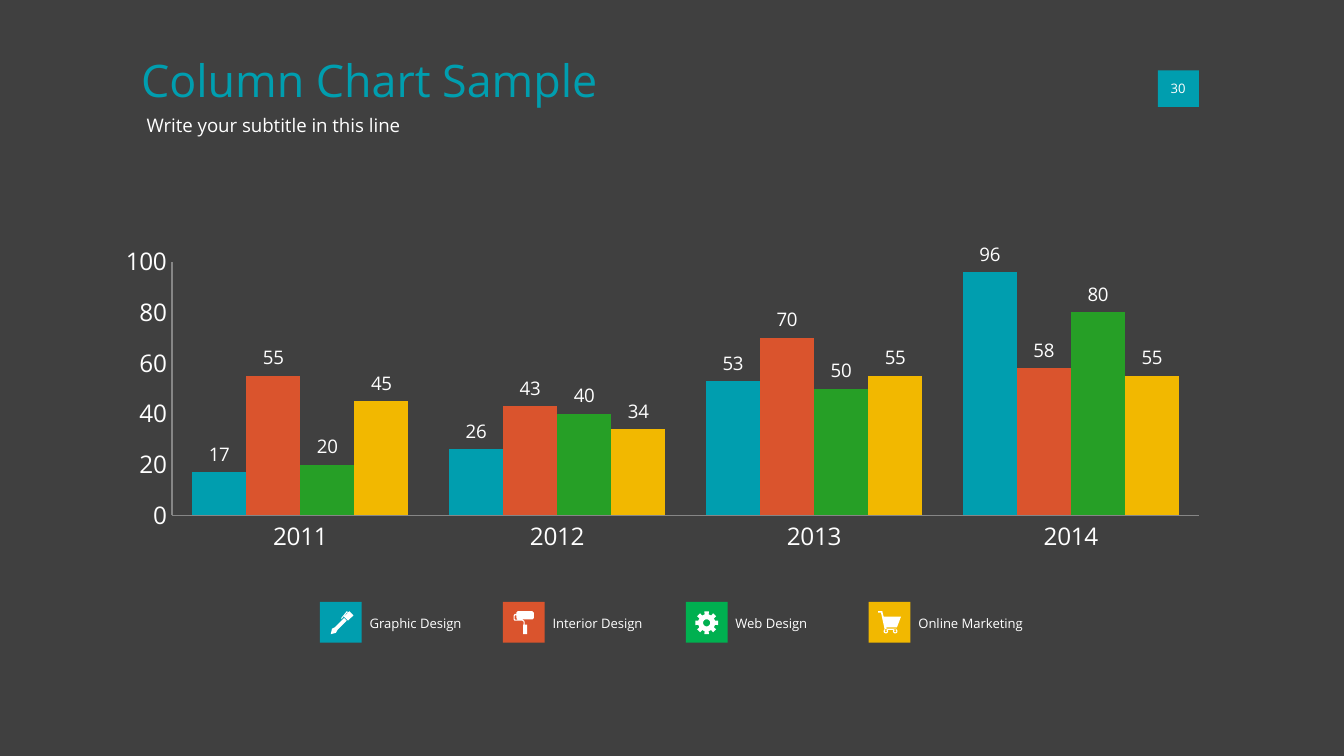
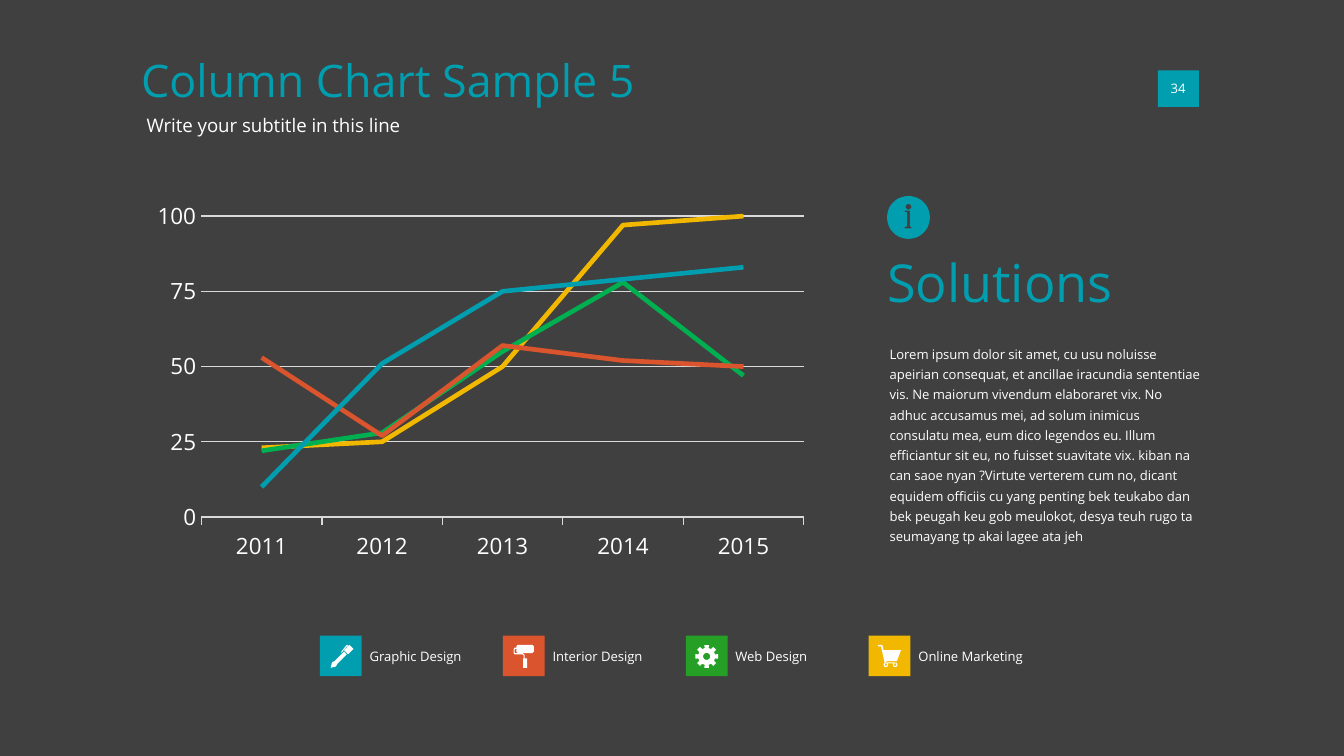
import math
import lxml.etree
import pptx
import pptx.chart.data
import pptx.dml.color
import pptx.enum.chart
import pptx.enum.shapes
import pptx.enum.text
import pptx.oxml.ns
import pptx.util

Pt = pptx.util.Pt
qn = pptx.oxml.ns.qn
RGB = pptx.dml.color.RGBColor.from_string

FONT = "Open Sans"
COLORS = {
    "background": "404040",
    "teal": "009EAF",
    "orange": "DA542D",
    "green": "269F26",
    "bright green": "00B050",
    "yellow": "F2B800",
    "white": "FFFFFF",
    "axis": "868686",
    "grid": "D9D9D9",
}

BODY = (
    "Lorem ipsum dolor sit amet, cu usu noluisse apeirian consequat, et ancillae iracundia "
    "sententiae vis. Ne maiorum vivendum elaboraret vix. No adhuc accusamus mei, ad solum "
    "inimicus consulatu mea, eum dico legendos eu. Illum efficiantur sit eu, no fuisset "
    "suavitate vix. kiban na can saoe nyan ?Virtute verterem cum no, dicant equidem officiis "
    "cu yang penting bek teukabo dan bek peugah keu gob meulokot, desya teuh rugo ta "
    "seumayang tp akai lagee ata jeh"
)

# Outline points are tenths of a point from the icon's top left corner.
ICONS = {
    "pen": [
        [(130, 79), (151, 101), (180, 72), (158, 50)],
        [(115, 94), (115, 86), (144, 50), (155, 56), (150, 58), (146, 56)],
        [(144, 101), (130, 86), (79, 137), (65, 144), (58, 173), (86, 166), (94, 151)],
    ],
    "roller": [
        [(79, 50), (158, 50), (166, 58), (166, 86), (158, 94), (79, 94), (72, 86), (72, 72),
         (65, 72), (63, 76), (63, 92), (67, 95), (104, 95), (114, 101), (117, 108), (117, 122),
         (130, 122), (130, 173), (108, 173), (108, 122), (111, 122), (111, 106), (104, 101),
         (63, 101), (57, 94), (57, 74), (63, 65), (72, 65), (72, 58)],
    ],
    "gear": [
        [(112 + radius * math.cos(math.radians(45 * tooth + offset)),
          112 + radius * math.sin(math.radians(45 * tooth + offset)))
         for tooth in range(8)
         for offset, radius in [(-14, 46), (-11, 62), (11, 62), (14, 46)]],
    ],
    "cart": [
        [(50, 50), (73, 50), (80, 79), (173, 79), (151, 137), (94, 137), (95, 144),
         (148, 144), (148, 150), (86, 150), (66, 58), (50, 58)],
    ],
    "info": [
        [(130, 173), (94, 173), (94, 166), (108, 162), (108, 88), (94, 84), (94, 78),
         (122, 78), (122, 162), (130, 166)],
    ],
}
CIRCLES = [
    ("gear", 112, 112, 19),
    ("cart", 92, 157, 12), ("cart", 92, 157, 6),
    ("cart", 142, 157, 12), ("cart", 142, 157, 6),
    ("info", 115, 115, 115), ("info", 115, 58, 15),
]
for icon, center_x, center_y, radius in CIRCLES:
    ICONS[icon].append([
        (center_x + radius * math.cos(math.radians(angle)),
         center_y + radius * math.sin(math.radians(angle)))
        for angle in range(0, 360, 6)
    ])

LEGEND = [("Graphic Design", "pen"), ("Interior Design", "roller"),
          ("Web Design", "gear"), ("Online Marketing", "cart")]

SLIDES = [
    {
        "title": "Column Chart Sample",
        "number": "30",
        "legend top": 322.5,
        "legend colors": ["teal", "orange", "bright green", "yellow"],
        "chart type": pptx.enum.chart.XL_CHART_TYPE.COLUMN_CLUSTERED,
        "chart box": (56.2, 128.2, 598.3, 172),
        "plot": {"x": 0.06, "y": 0.07, "w": 0.92, "h": 0.79},
        "axis size": 13,
        "step": 20,
        "years": ["2011", "2012", "2013", "2014"],
        "series": [("teal", [17, 26, 53, 96]), ("orange", [55, 43, 70, 58]),
                   ("green", [20, 40, 50, 80]), ("yellow", [45, 34, 55, 55])],
    },
    {
        "title": "Column Chart Sample 5",
        "number": "34",
        "legend top": 340.5,
        "legend colors": ["teal", "orange", "green", "yellow"],
        "chart type": pptx.enum.chart.XL_CHART_TYPE.LINE,
        "chart box": (75.6, 103.7, 358.6, 201.6),
        "plot": {"x": 0.09, "y": 0.06, "w": 0.9, "h": 0.8},
        "axis size": 12,
        "step": 25,
        "years": ["2011", "2012", "2013", "2014", "2015"],
        "series": [("yellow", [23, 25, 50, 97, 100]), ("bright green", [22, 28, 55, 78, 47]),
                   ("orange", [53, 27, 57, 52, 50]), ("teal", [10, 51, 75, 79, 83])],
    },
]


def add_text(slide, box, text, size, color="white"):
    frame = slide.shapes.add_textbox(*map(Pt, box)).text_frame
    frame.margin_left = frame.margin_top = frame.margin_right = frame.margin_bottom = 0
    frame.word_wrap = True
    frame.text = text
    font = frame.paragraphs[0].runs[0].font
    font.name = FONT
    font.size = Pt(size)
    font.color.rgb = RGB(COLORS[color])
    return frame


def paint(shape, color):
    shape.shadow.inherit = False
    shape.fill.solid()
    shape.fill.fore_color.rgb = RGB(COLORS[color])
    shape.line.fill.background()


presentation = pptx.Presentation()
presentation.slide_width = Pt(720)
presentation.slide_height = Pt(405)

for content in SLIDES:
    slide = presentation.slides.add_slide(presentation.slide_layouts[6])
    slide.background.fill.solid()
    slide.background.fill.fore_color.rgb = RGB(COLORS["background"])
    is_line = content["chart type"] == pptx.enum.chart.XL_CHART_TYPE.LINE

    add_text(slide, (75.6, 28.1, 342.7, 35.3), content["title"], 24, "teal")
    add_text(slide, (78.5, 61.2, 497.5, 16.6), "Write your subtitle in this line", 10)

    tiles = [(620.3, 37.8, 22, 19.5, "teal")]
    outlines = []
    for index, (label, icon) in enumerate(LEGEND):
        left, top = 171.4 + 98 * index, content["legend top"]
        tiles.append((left, top, 22.4, 21.8, content["legend colors"][index]))
        outlines.append((left, top, icon, "white"))
        add_text(slide, (left + 26.6, top + 7, 60, 12), label, 7)
    if is_line:
        outlines.append((475.2, 105, "info", "teal"))
        add_text(slide, (475.2, 133.9, 162, 41), "Solutions", 28, "teal")
        body = add_text(slide, (476.6, 182.9, 166.3, 117.4), BODY, 7)
        body.paragraphs[0].line_spacing = 1.3

    for left, top, width, height, color in tiles:
        tile = slide.shapes.add_shape(pptx.enum.shapes.MSO_SHAPE.RECTANGLE,
                                      Pt(left), Pt(top), Pt(width), Pt(height))
        paint(tile, color)
    for left, top, icon, color in outlines:
        contours = ICONS[icon]
        builder = slide.shapes.build_freeform(*contours[0][0], scale=Pt(0.1))
        for contour in contours:
            builder.move_to(*contour[0])
            builder.add_line_segments(contour[1:], close=True)
        paint(builder.convert_to_shape(Pt(left), Pt(top)), color)

    number = add_text(slide, (627.1, 43.2, 8, 8.6), content["number"], 7)
    number.word_wrap = False
    number.auto_size = pptx.enum.text.MSO_AUTO_SIZE.SHAPE_TO_FIT_TEXT
    number.vertical_anchor = pptx.enum.text.MSO_ANCHOR.MIDDLE
    number.paragraphs[0].alignment = pptx.enum.text.PP_ALIGN.CENTER

    chart_data = pptx.chart.data.CategoryChartData()
    chart_data.categories = content["years"]
    for index, (color, values) in enumerate(content["series"], 1):
        chart_data.add_series(f"Series {index}", values)
    chart = slide.shapes.add_chart(content["chart type"], *map(Pt, content["chart box"]),
                                   chart_data).chart
    chart.has_legend = False
    chart.has_title = False
    chart.font.name = FONT

    plot_area = chart._chartSpace.chart.plotArea
    for layout in plot_area.findall(qn("c:layout")):
        plot_area.remove(layout)
    layout = lxml.etree.Element(qn("c:layout"))
    manual = lxml.etree.SubElement(layout, qn("c:manualLayout"))
    settings = {"layoutTarget": "inner", "xMode": "edge", "yMode": "edge", **content["plot"]}
    for name, value in settings.items():
        lxml.etree.SubElement(manual, qn(f"c:{name}")).set("val", str(value))
    plot_area.insert(0, layout)

    for axis in (chart.category_axis, chart.value_axis):
        axis.major_tick_mark = axis.minor_tick_mark = pptx.enum.chart.XL_TICK_MARK.NONE
        axis.has_major_gridlines = False
        axis.tick_labels.font.name = FONT
        axis.tick_labels.font.size = Pt(content["axis size"])
        axis.tick_labels.font.color.rgb = RGB(COLORS["white"])
        axis.format.line.width = Pt(0.75)
        axis.format.line.color.rgb = RGB(COLORS["grid" if is_line else "axis"])
    value_axis = chart.value_axis
    value_axis.minimum_scale = 0
    value_axis.maximum_scale = 100
    value_axis.major_unit = content["step"]

    plot = chart.plots[0]
    plot.vary_by_categories = False
    if is_line:
        chart.category_axis.major_tick_mark = pptx.enum.chart.XL_TICK_MARK.OUTSIDE
        value_axis.format.line.fill.background()
        value_axis.has_major_gridlines = True
        grid_line = value_axis.major_gridlines.format.line
        grid_line.width = Pt(0.75)
        grid_line.color.rgb = RGB(COLORS["grid"])
    else:
        plot.gap_width = 75
        plot.overlap = 0

    for series, (color, values) in zip(plot.series, content["series"]):
        if is_line:
            series.smooth = False
            series.marker.style = pptx.enum.chart.XL_MARKER_STYLE.NONE
            series.format.line.width = Pt(2.5)
            series.format.line.color.rgb = RGB(COLORS[color])
        else:
            series.format.fill.solid()
            series.format.fill.fore_color.rgb = RGB(COLORS[color])
            labels = series.data_labels
            labels.show_value = True
            labels.position = pptx.enum.chart.XL_LABEL_POSITION.OUTSIDE_END
            labels.font.name = FONT
            labels.font.size = Pt(10)
            labels.font.color.rgb = RGB(COLORS["white"])

presentation.save("out.pptx")
